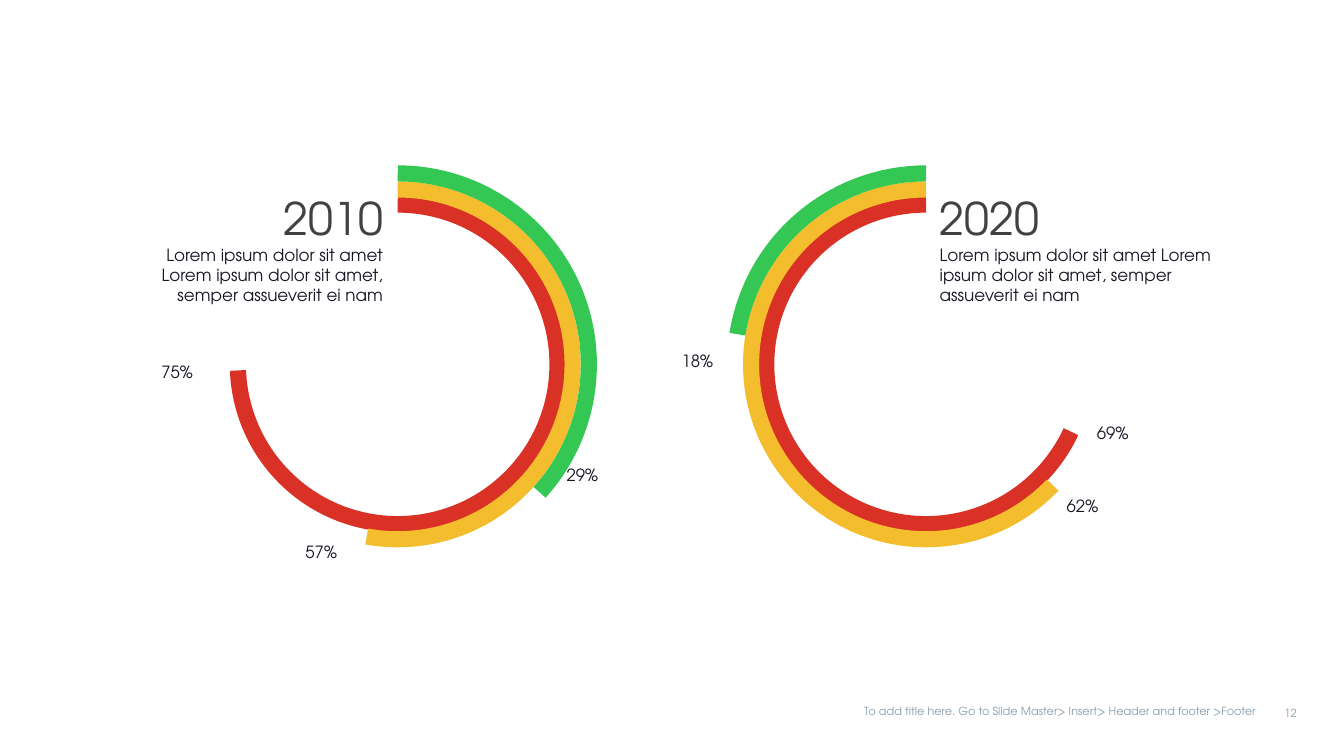
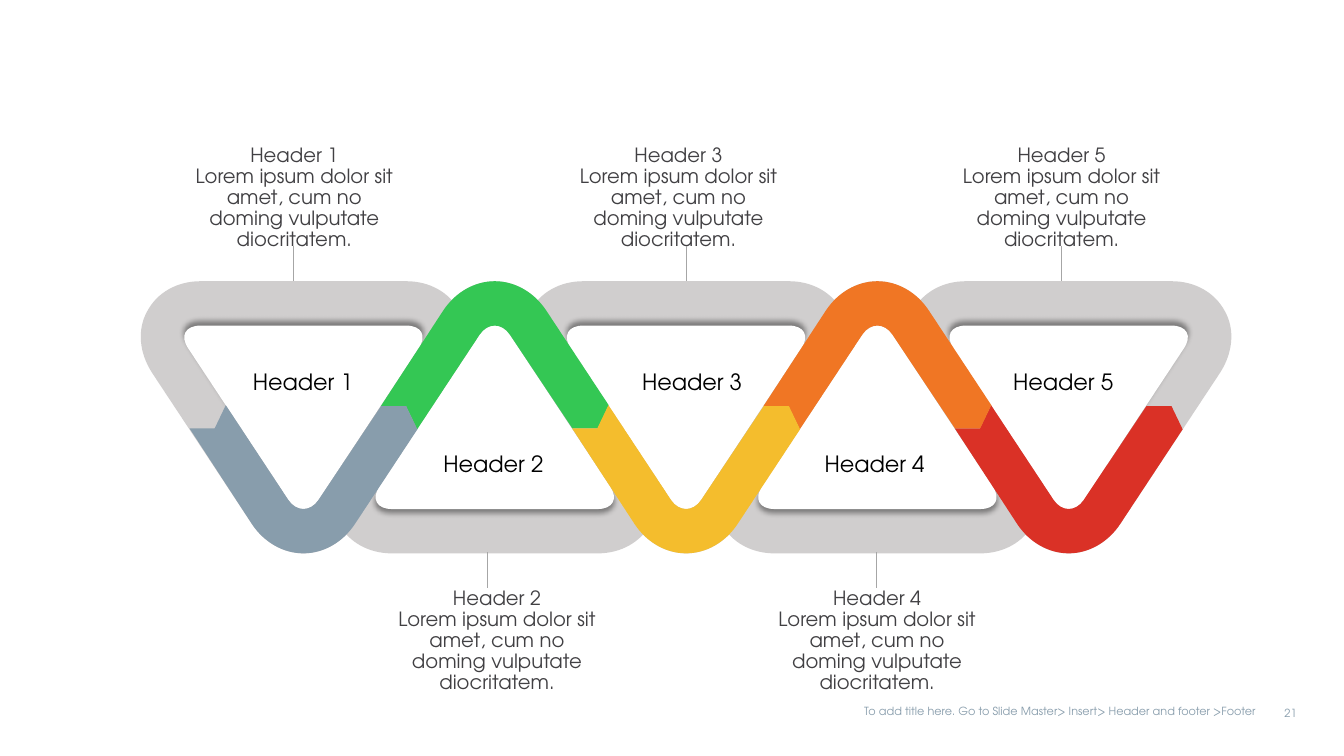
from lxml.etree import SubElement
from pptx import Presentation
from pptx.dml.color import RGBColor
from pptx.enum.shapes import MSO_CONNECTOR, MSO_SHAPE
from pptx.enum.text import MSO_ANCHOR, MSO_AUTO_SIZE, PP_ALIGN
from pptx.oxml.ns import qn
from pptx.util import Inches, Pt

FONT = "TeX Gyre Adventor"
HEX = {
    "red": "DA3126", "gold": "F4BD2D", "green": "34C754", "orange": "F07624",
    "slate": "889DAC", "gray": "D0CECE", "white": "FFFFFF", "black": "000000",
    "dark": "414043", "ink": "1B1626", "rule": "A6A6A6",
}
RGB = {name: RGBColor.from_string(code) for name, code in HEX.items()}
LEFT, MID, RIGHT = PP_ALIGN.LEFT, PP_ALIGN.CENTER, PP_ALIGN.RIGHT


def write(slide, box, lines, align=LEFT, pad=(0.1, 0.05, 0.1, 0.05),
          wrap=True, anchor=MSO_ANCHOR.TOP, lead=None):
    frame = slide.shapes.add_textbox(*map(Inches, box)).text_frame
    frame.word_wrap = wrap
    frame.auto_size = MSO_AUTO_SIZE.SHAPE_TO_FIT_TEXT
    frame.vertical_anchor = anchor
    frame.margin_left, frame.margin_top, frame.margin_right, frame.margin_bottom = map(Inches, pad)
    for i, (text, size, color) in enumerate(lines):
        para = frame.add_paragraph() if i else frame.paragraphs[0]
        para.text = text
        para.alignment = align
        para.line_spacing = lead
        para.font.name = FONT
        para.font.size = Pt(size)
        para.font.color.rgb = RGB[color]


def trace(slide, spots, kinds, color):
    pen = slide.shapes.build_freeform(*spots[0])
    pen.add_line_segments(spots[1:], close=True)
    form = pen.convert_to_shape()
    edges = iter(list(form._element.iter(qn("a:lnTo"))))
    for kind in kinds:
        edge = next(edges)
        if kind == "C":
            edge.tag = qn("a:cubicBezTo")
            for _ in range(2):
                extra = next(edges)
                edge.append(extra[0])
                extra.getparent().remove(extra)
    form.shadow.inherit = False
    form.fill.solid()
    form.fill.fore_color.rgb = RGB[color]
    form.line.fill.background()
    return form


deck = Presentation()
deck.slide_width, deck.slide_height = Inches(13.33), Inches(7.5)
pages = []
for number in ("12", "21"):
    page = deck.slides.add_slide(deck.slide_layouts[6])
    write(page, (12.4, 6.96, 0.56, 0.24), [(number, 8, "slate")], RIGHT)
    write(page, (8.14, 6.94, 4.42, 0.25),
          [("To add title here. Go to Slide Master> Insert> Header and footer >Footer", 8, "slate")], RIGHT)
    pages.append(page)
rings, chain = pages

TIGHT = (0.07, 0.04, 0.07, 0.04)
TOP = 162
WIDE = 3.79
SIZES = [(3.17, "red"), (3.47, "gold"), (WIDE, "green")]
DIALS = [
    (2.05, [(TOP, 106.69), (TOP, 60.11), (TOP, 25.23)]),
    (7.29, [(14.95, TOP), (26.18, TOP), (113.46, TOP)]),
]
for left, spans in DIALS:
    for (size, color), span in zip(SIZES, spans):
        inset = (WIDE - size) / 2
        arc = rings.shapes.add_shape(
            MSO_SHAPE.ARC, Inches(left + inset), Inches(1.72 + inset), Inches(size), Inches(size))
        arc.adjustments[0], arc.adjustments[1] = span
        arc.shadow.inherit = False
        arc.fill.background()
        arc.line.color.rgb = RGB[color]
        arc.line.width = Pt(11.5)

BLURB = "Lorem ipsum dolor sit amet Lorem ipsum dolor sit amet, semper assueverit ei nam"
for year, left, width, align in [("2020", 9.25, 3.08, LEFT), ("2010", 1.09, 2.78, RIGHT)]:
    write(rings, (left, 1.85, width, 1.22), [(year, 32, "dark"), (BLURB, 12, "ink")], align, TIGHT)

for share, left, top in [("29%", 5.55, 4.57), ("57%", 2.96, 5.33), ("75%", 1.53, 3.55),
                         ("18%", 6.69, 3.44), ("62%", 10.51, 4.88), ("69%", 10.81, 4.15)]:
    write(rings, (left, top, 0.47, 0.28), [(share, 12, "ink")], pad=TIGHT, wrap=False)

rim = [(0, 5.49), (0.2, 5.49), (0.39, 5.38), (0.51, 5.2),
       (1.5, 3.7), (1.63, 3.5), (1.65, 3.27), (1.55, 3.09),
       (1.45, 2.9), (1.25, 2.79), (1.02, 2.79)]
core = [(0, 5.05), (0.05, 5.05), (0.11, 5.02), (0.15, 4.96),
        (1.14, 3.46), (1.23, 3.33), (1.17, 3.23), (1.02, 3.23)]
band = [(1.02, 4.03), (0.77, 4.03), (0.15, 4.96), (0.07, 5.08), (-0.07, 5.08), (-0.15, 4.96),
        (-0.77, 4.02), (-0.88, 4.25), (-1.13, 4.25), (-0.51, 5.2), (-0.39, 5.38), (-0.2, 5.49),
        (0, 5.49), (0.2, 5.49), (0.39, 5.38), (0.51, 5.2), (1.13, 4.26)]
for half in (rim, core):
    half += [(-x, y) for x, y in reversed(half)]

TINTS = ["slate", "green", "gold", "orange", "red"]
GAP = (10.6 - 3.01) / 4
parts = [(i, rim, "CLCCLCCLC", "gray") for i in reversed(range(5))]
parts += [(i, core, "CLCLCLC", "white") for i in range(5)]
parts += [(i, band, "LLCLLLLCCL", TINTS[i]) for i in (1, 4, 3, 0, 2)]
for i, points, kinds, color in parts:
    spots = [(Inches(3.01 + GAP * i + x), Inches(8.28 - y if i % 2 else y)) for x, y in points]
    form = trace(chain, spots, kinds, color)
    if points is core:
        glow = SubElement(
            form._element.spPr.find(qn("a:effectLst")), qn("a:outerShdw"),
            blurRad=str(Pt(4)), dist=str(Pt(3)), dir="5400000" if i % 2 else "16200000", rotWithShape="0")
        shade = SubElement(glow, qn("a:srgbClr"), val=HEX["black"])
        SubElement(shade, qn("a:alpha"), val="40000")

NOTE = "Lorem ipsum dolor sit amet, cum no doming vulputate diocritatem."
SPOTS = [(2.22, 1.6, 2.91), (4.11, 3.61, 4.83), (6.08, 5.41, 6.81), (7.89, 7.38, 8.69), (9.76, 9.21, 10.53)]
for i, (name, note, stem) in enumerate(SPOTS):
    head = f"Header {i + 1}"
    low = i % 2
    write(chain, (name, 4.47 if low else 3.65, 1.57, 0.27), [(head, 16, "black")], MID, (0, 0, 0, 0))
    write(chain, (note, 5.89 if low else 1.5, 2.64, 0.96), [(head, 14, "dark"), (NOTE, 14, "dark")],
          MID, (0.27, 0.05, 0.27, 0.07), anchor=MSO_ANCHOR.MIDDLE, lead=0.89)
    top = 5.48 if low else 2.44
    line = chain.shapes.add_connector(
        MSO_CONNECTOR.STRAIGHT, Inches(stem), Inches(top), Inches(stem), Inches(top + 0.35))
    line.line.color.rgb = RGB["rule"]
    line.line.width = Pt(0.5)
    SubElement(line._element.spPr, qn("a:effectLst"))

deck.save("out.pptx")
